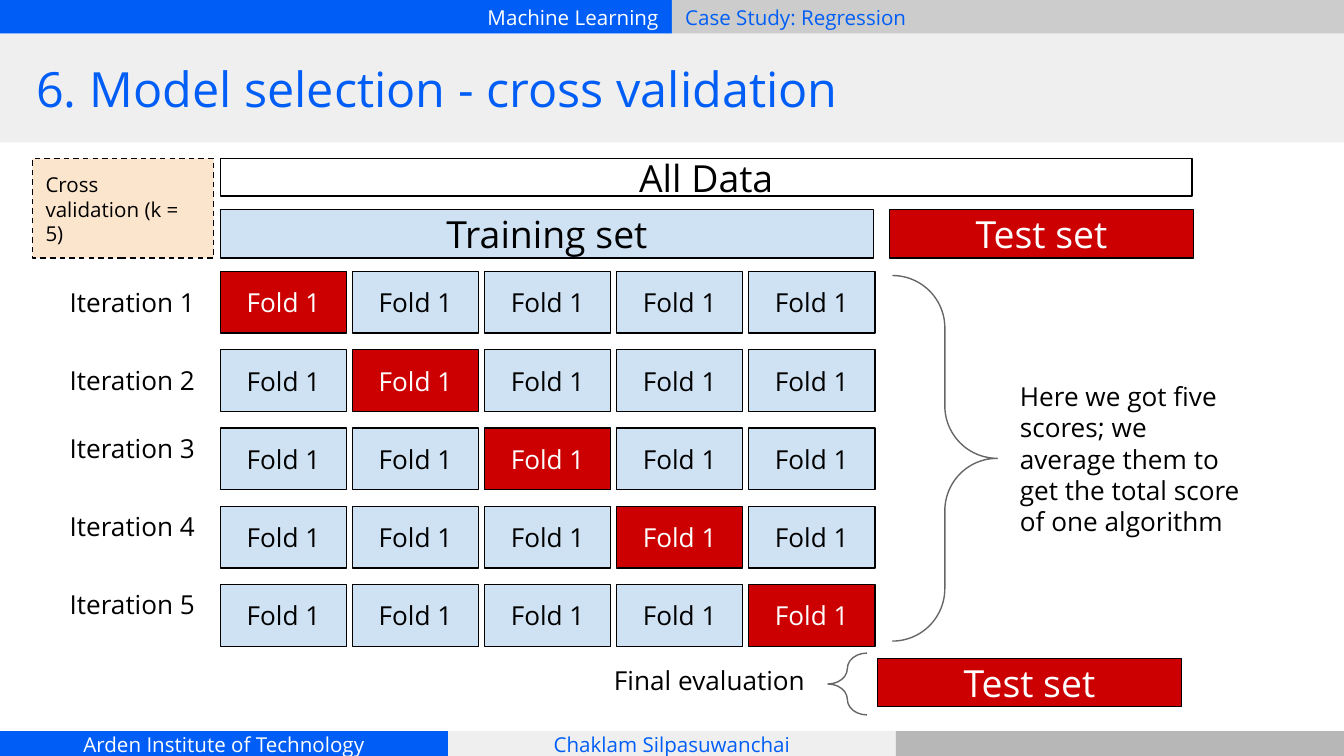
from pptx import Presentation
from pptx import util as u
from pptx.dml.color import RGBColor
from pptx.enum import dml, shapes, text

FONT = "Open Sans"
BLUE, RED, PALE = "005EF6", "CC0000", "CFE2F3"
BLACK, WHITE, GREY, LIGHT = "000000", "FFFFFF", "666666", "EFEFEF"
LEFT, CENTER, RIGHT = text.PP_ALIGN.LEFT, text.PP_ALIGN.CENTER, text.PP_ALIGN.RIGHT
TOP, MIDDLE = text.MSO_ANCHOR.TOP, text.MSO_ANCHOR.MIDDLE
FOLDS = 5


def color(hex_value):
    return RGBColor.from_string(hex_value)


def write(holder, words, size=14, ink=BLACK, align=LEFT, anchor=MIDDLE, before=0):
    frame = holder.text_frame
    frame.word_wrap = True
    frame.vertical_anchor = anchor
    frame.margin_left = frame.margin_right = u.Inches(0.1)
    frame.margin_top = frame.margin_bottom = u.Inches(0.1)
    paragraph = frame.paragraphs[0]
    paragraph.alignment = align
    paragraph.space_before = u.Pt(before)
    for i, part in enumerate(words.split("\n")):
        if i:
            paragraph.add_line_break()
        run = paragraph.add_run()
        run.text = part
        run.font.name = FONT
        run.font.size = u.Pt(size)
        run.font.color.rgb = color(ink)


def add_label(slide, box, words, **style):
    write(slide.shapes.add_textbox(*map(u.Inches, box)), words, **style)


def add_block(slide, box, words="", fill=None, line=None,
              kind=shapes.MSO_SHAPE.RECTANGLE, **style):
    block = slide.shapes.add_shape(kind, *map(u.Inches, box))
    block.shadow.inherit = False
    if fill:
        block.fill.solid()
        block.fill.fore_color.rgb = color(fill)
    else:
        block.fill.background()
    if line:
        block.line.color.rgb = color(line)
        block.line.width = u.Pt(0.75)
    else:
        block.line.fill.background()
    if words:
        write(block, words, **style)
    return block


def add_brace(slide, box, kind):
    brace = add_block(slide, box, line=GREY, kind=kind)
    brace.adjustments[0] = brace.adjustments[1] = 0.5


def add_bar(slide, box, sections):
    """Equal sections side by side: (words, fill, ink, alignment)."""
    x, y, width, height = box
    step = width / len(sections)
    for i, (words, fill, ink, align) in enumerate(sections):
        add_block(slide, (x + i * step, y, step, height), words,
                  fill=fill, size=11, ink=ink, align=align)


def add_title(slide, box, words):
    x, y, width, height = box
    add_block(slide, box, fill=LIGHT)
    add_label(slide, (x + 0.17, y, width - 0.33, height), words, size=26, ink=BLUE)


def add_data_split(slide, box):
    x, y, width, _ = box
    heading = dict(line=BLACK, size=20, align=CENTER)
    add_block(slide, (x, y + 0.38, 4.86, 0.36), "Training set", fill=PALE, **heading)
    add_block(slide, (x, y, width, 0.28), "All Data", **heading)
    add_test_set(slide, (x + 4.98, y + 0.38, 2.26, 0.36))


def add_test_set(slide, box):
    add_block(slide, box, "Test set", fill=RED, line=BLACK, size=20, ink=WHITE, align=CENTER)


def add_iterations(slide, box):
    x, y, width, height = box
    fold_width, fold_height, label_width = 0.94, 0.46, 1.22
    column_step = (width - label_width - fold_width) / (FOLDS - 1)
    row_step = (height - fold_height) / (FOLDS - 1)
    for row in range(FOLDS):
        top = y + row * row_step
        for column in range(FOLDS):
            held_out = row == column
            add_block(slide, (x + label_width + column * column_step, top,
                              fold_width, fold_height),
                      "Fold 1", fill=RED if held_out else PALE, line=BLACK,
                      ink=WHITE if held_out else BLACK, align=CENTER)
        # The first two labels sit a little lower than the rest
        shift = 0.01 if row < 2 else -0.07
        add_label(slide, (x, top + shift, 1.17, 0.36), f"Iteration {row + 1}", anchor=TOP)


def add_score_note(slide, box):
    x, y, _, height = box
    add_brace(slide, (x, y, 0.78, height), shapes.MSO_SHAPE.RIGHT_BRACE)
    add_label(slide, (x + 0.85, y + 0.68, 1.84, 1.37),
              "Here we got five scores; we average them to get the total score of one algorithm",
              anchor=TOP)


def add_final_evaluation(slide, box):
    x, y, _, height = box
    add_brace(slide, (x + 1.69, y + 0.02, 0.29, height - 0.02), shapes.MSO_SHAPE.LEFT_BRACE)
    add_test_set(slide, (x + 2.06, y + 0.06, 2.26, 0.36))
    add_label(slide, (x, y, 1.84, 0.46), "Final evaluation", anchor=TOP)


def main():
    deck = Presentation()
    deck.slide_width, deck.slide_height = u.Inches(10), u.Inches(5.625)
    slide = deck.slides.add_slide(deck.slide_layouts[6])

    # Header, footer and title
    add_bar(slide, (0, 0, 10, 0.25), [
        ("Machine Learning", BLUE, WHITE, RIGHT),
        ("Case Study: Regression", "CCCCCC", BLUE, LEFT)])
    add_bar(slide, (0, 5.44, 10, 0.19), [
        ("Arden Institute of Technology", BLUE, WHITE, CENTER),
        ("Chaklam Silpasuwanchai", LIGHT, BLUE, CENTER),
        ("", "B7B7B7", BLUE, CENTER)])
    add_title(slide, (0, 0.25, 10, 0.81), "6. Model selection - cross validation")

    # Method tag
    method = add_block(slide, (0.24, 1.18, 1.35, 0.74), "Cross\nvalidation (k = 5)",
                       fill="FCE5CD", line=BLACK, size=11, anchor=TOP, before=6)
    method.line.dash_style = dml.MSO_LINE.DASH

    # Cross-validation diagram
    add_data_split(slide, (1.64, 1.18, 7.23, 0.74))
    add_score_note(slide, (6.64, 2.05, 2.69, 2.72))
    add_final_evaluation(slide, (4.47, 4.84, 4.32, 0.48))
    add_iterations(slide, (0.42, 2.02, 6.09, 2.79))

    deck.save("out.pptx")


if __name__ == "__main__":
    main()
